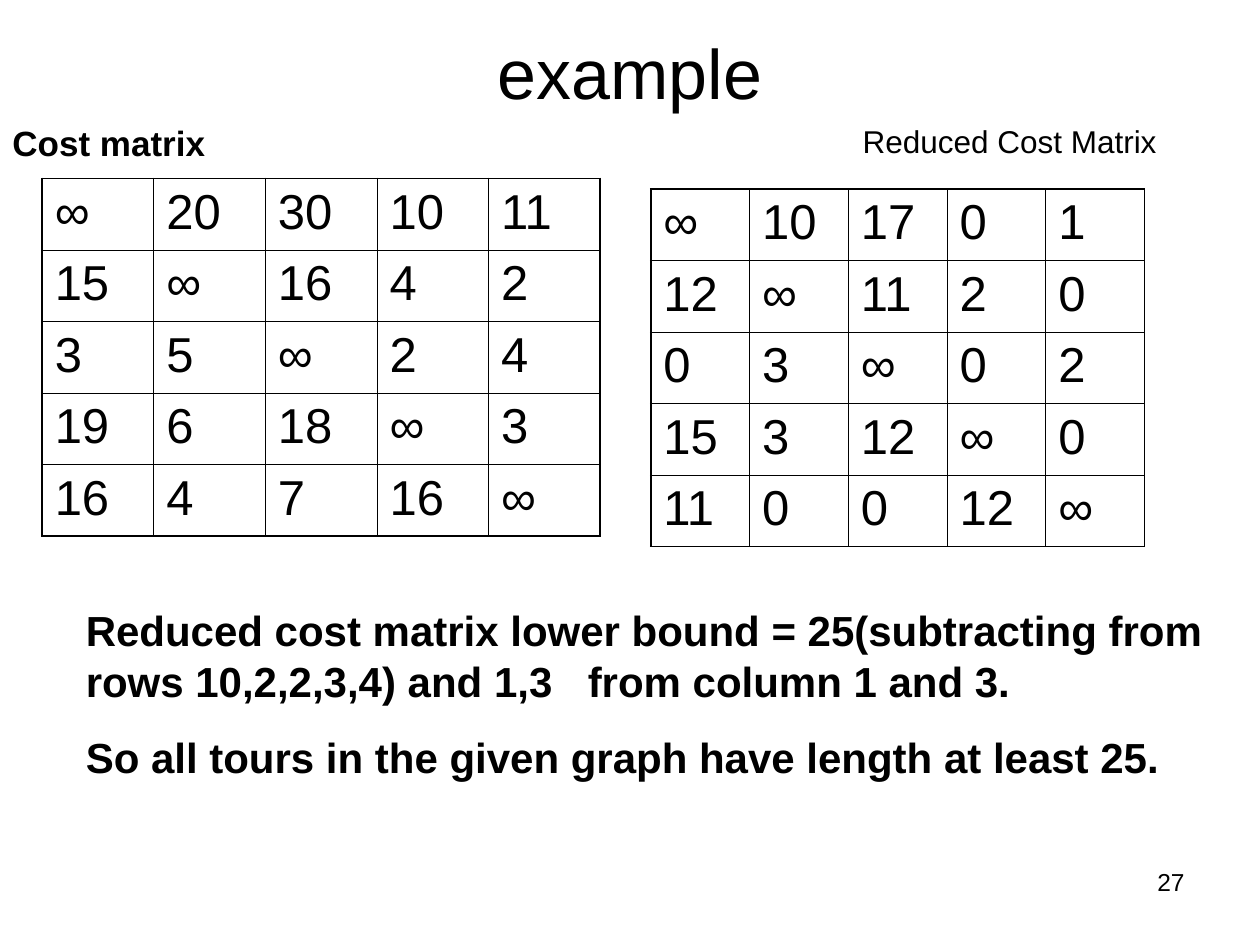
from dataclasses import dataclass
from lxml import etree
from pptx import Presentation
from pptx.dml import color
from pptx.enum import text
from pptx.oxml import ns
from pptx.util import Cm, Pt


@dataclass(frozen=True)
class Theme:
    face: str = "Arial"
    ink: str = "000000"
    title: int = 40
    cell: int = 28
    body: int = 24
    head: int = 20
    label: int = 18
    page: int = 14
    thick: float = 1.08
    thin: float = 0.45


THEME = Theme()

COST = """∞ 20 30 10 11
15 ∞ 16 4 2
3 5 ∞ 2 4
19 6 18 ∞ 3
16 4 7 16 ∞"""

REDUCED = """∞ 10 17 0 1
12 ∞ 11 2 0
0 3 ∞ 0 2
15 3 12 ∞ 0
11 0 0 12 ∞"""

NOTES = [
    "Reduced cost matrix lower bound = 25(subtracting from rows 10,2,2,3,4) "
    "and 1,3\tfrom column 1 and 3.",
    "So all tours in the given graph have length at least 25.",
]


def style(para, size, bold=False):
    font = para.font
    font.name = THEME.face
    font.size = Pt(size)
    font.bold = bold
    font.color.rgb = color.RGBColor.from_string(THEME.ink)


def add_tab(para, pos):
    props = para._p.get_or_add_pPr()
    tabs = etree.SubElement(props, ns.qn("a:tabLst"))
    etree.SubElement(tabs, ns.qn("a:tab"), pos=str(Cm(pos)), algn="l")


def add_text(slide, lines, place, size, bold=False, align="LEFT",
             anchor="TOP", gap=0, tab=None):
    box = slide.shapes.add_textbox(*map(Cm, place))
    frame = box.text_frame
    frame.word_wrap = True
    frame.vertical_anchor = text.MSO_ANCHOR[anchor]
    for i, line in enumerate(lines):
        para = frame.add_paragraph() if i else frame.paragraphs[0]
        para.text = line
        para.alignment = text.PP_ALIGN[align]
        if i:
            para.space_before = Pt(gap)
        if tab and "\t" in line:
            add_tab(para, tab)
        style(para, size, bold)


def add_edge(cell, side, width):
    props = cell._tc.get_or_add_tcPr()
    line = etree.SubElement(props, ns.qn(f"a:ln{side}"), w=str(Pt(width)))
    fill = etree.SubElement(line, ns.qn("a:solidFill"))
    etree.SubElement(fill, ns.qn("a:srgbClr"), val=THEME.ink)


def add_matrix(slide, data, left, top, wide, high):
    rows = [line.split() for line in data.splitlines()]
    last = len(rows) - 1
    count = len(rows)
    frame = slide.shapes.add_table(count, count, Cm(left), Cm(top),
                                   Cm(wide * count), Cm(high * count))
    table = frame.table
    table.first_row = table.horz_banding = False
    for col in table.columns:
        col.width = Cm(wide)
    for r, row in enumerate(rows):
        table.rows[r].height = Cm(high)
        for c, value in enumerate(row):
            cell = table.cell(r, c)
            cell.text = value
            style(cell.text_frame.paragraphs[0], THEME.cell)
            outer = {"L": c == 0, "R": c == last, "T": r == 0, "B": r == last}
            for side, edge in outer.items():
                add_edge(cell, side, THEME.thick if edge else THEME.thin)
            cell.fill.background()


def main():
    deck = Presentation()
    deck.slide_width, deck.slide_height = Cm(25.4), Cm(19.05)
    slide = deck.slides.add_slide(deck.slide_layouts[6])
    add_text(slide, ["27"], (18.2, 17.35, 5.93, 1.32), THEME.page,
             align="RIGHT")
    add_text(slide, ["example"], (1.27, 0.76, 22.86, 1.35), THEME.title,
             align="CENTER", anchor="MIDDLE")
    add_matrix(slide, COST, 0.85, 3.6, 2.25, 1.44)
    add_matrix(slide, REDUCED, 13.12, 3.81, 1.99, 1.44)
    add_text(slide, NOTES, (1.48, 12.07, 23.28, 3.84), THEME.body, bold=True,
             gap=15, tab=10.12)
    add_text(slide, ["Cost matrix"], (0, 2.33, 10.37, 1.11), THEME.head,
             bold=True)
    add_text(slide, ["Reduced Cost Matrix"], (17.14, 2.33, 7.62, 1.02),
             THEME.label)
    deck.save("out.pptx")


if __name__ == "__main__":
    main()
